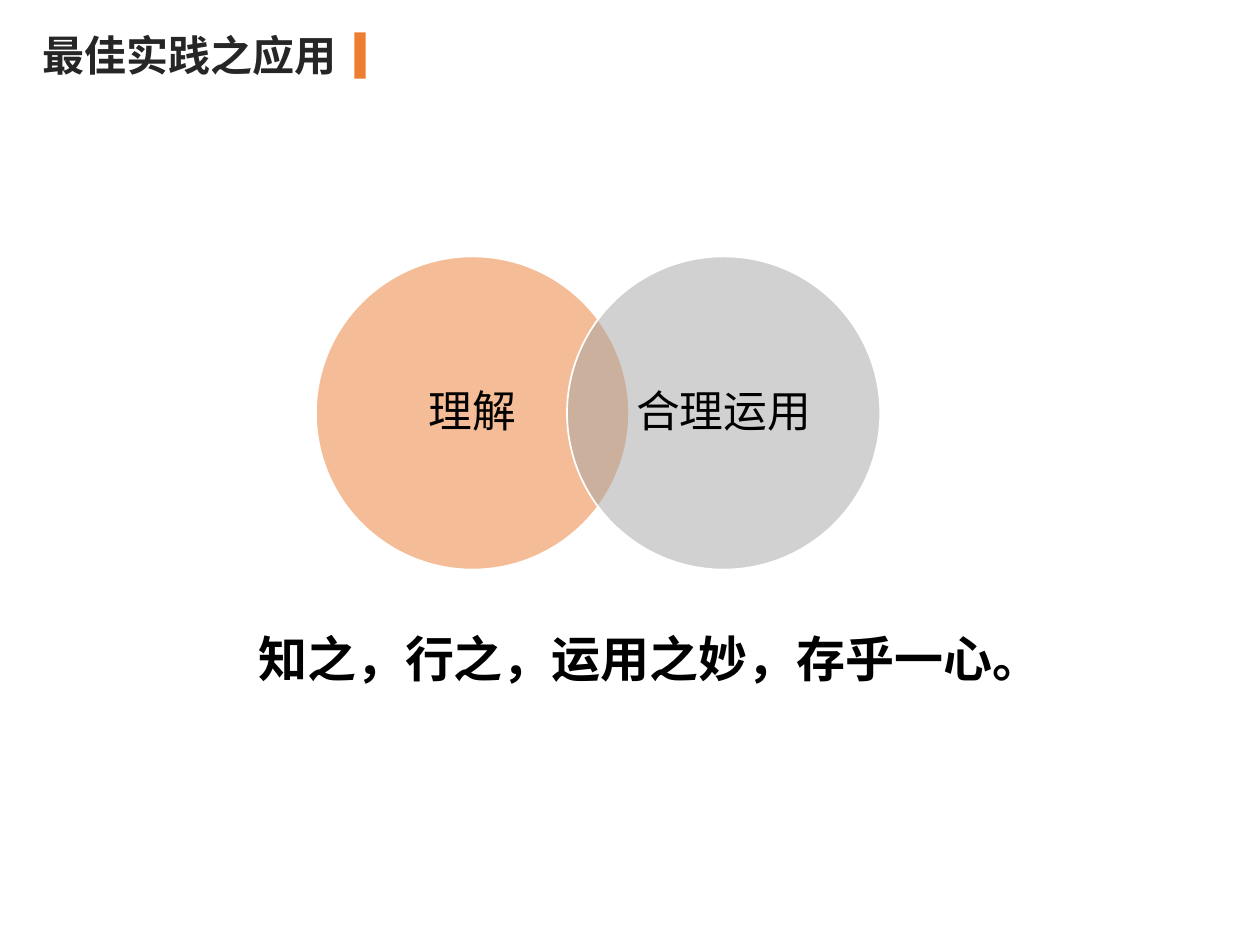
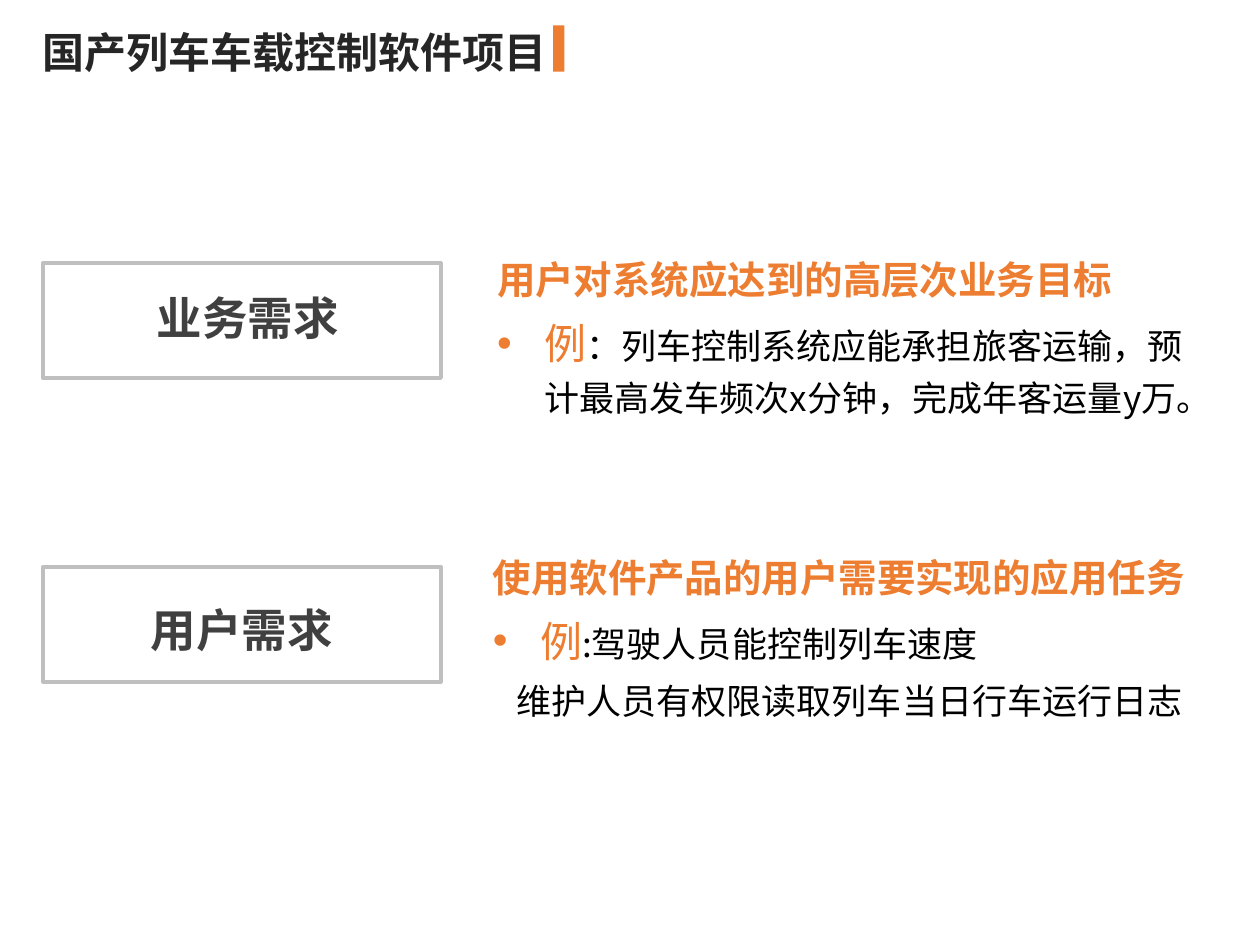
from lxml.etree import SubElement as Sub
from pptx import Presentation
from pptx.dml.color import RGBColor
from pptx.enum.shapes import MSO_SHAPE as Kind
from pptx.enum.text import MSO_ANCHOR as Anchor, MSO_AUTO_SIZE as Fit, PP_ALIGN as Align
from pptx.oxml.ns import qn
from pptx.util import Pt

FACE = "Noto Sans CJK SC"
ORANGE, GRAY, BLACK, WHITE = "ED7D31", "A5A5A5", "000000", "FFFFFF"
DARK, MID, EDGE = "262626", "404040", "BFBFBF"

HEADS = [
    ("最佳实践之应用", 13, 184.5, (202.5, 18.5)),
    ("国产列车车载控制软件项目", 11.5, 305.5, (316, 14.5)),
]
RINGS = [("理解", ORANGE), ("合理运用", GRAY)]
QUOTE = "知之，行之，运用之妙，存乎一心。"
NEEDS = [
    {"name": "业务需求", "top": 150.5, "label": (82, 165.5),
     "note": (277, 137.5, 419),
     "goal": "用户对系统应达到的高层次业务目标",
     "case": "：列车控制系统应能承担旅客运输，预计最高发车频次x分钟，完成年客运量y万。",
     "more": ""},
    {"name": "用户需求", "top": 324, "label": (78.5, 344),
     "note": (274.5, 307.5, 434),
     "goal": "使用软件产品的用户需要实现的应用任务",
     "case": ":驾驶人员能控制列车速度",
     "more": "维护人员有权限读取列车当日行车运行日志"},
]


def hue(code):
    return RGBColor.from_string(code)


def style(item, size, color, bold=False):
    font = item.font
    font.size, font.bold, font.name = Pt(size), bold, FACE
    font.color.rgb = hue(color)
    Sub(font._element, qn("a:ea"), typeface=FACE)


def write(para, text, size, color, bold=False, align=Align.LEFT, gap=1.0):
    para.text = text
    para.alignment, para.line_spacing = align, gap
    style(para, size, color, bold)


def shape(slide, kind, left, top, wide, high, fill=None, line=None, width=1):
    form = slide.shapes.add_shape(kind, Pt(left), Pt(top), Pt(wide), Pt(high))
    form.shadow.inherit = False
    if fill:
        form.fill.solid()
        form.fill.fore_color.rgb = hue(fill)
    else:
        form.fill.background()
    if line:
        form.line.color.rgb = hue(line)
        form.line.width = Pt(width)
    else:
        form.line.fill.background()
    return form


def box(slide, left, top, wide, high, wrap=False):
    frame = slide.shapes.add_textbox(Pt(left), Pt(top), Pt(wide), Pt(high)).text_frame
    frame.word_wrap = wrap
    return frame


def start(deck, text, top, wide, bar):
    slide = deck.slides.add_slide(deck.slide_layouts[5])
    title = slide.shapes.title
    title.left, title.top, title.width, title.height = Pt(17), Pt(top), Pt(wide), Pt(36)
    frame = title.text_frame
    frame.word_wrap, frame.auto_size = False, Fit.NONE
    frame.vertical_anchor = Anchor.TOP
    write(frame.paragraphs[0], text, 24, DARK, True)
    shape(slide, Kind.RECTANGLE, *bar, 6.5, 26.5, ORANGE)
    return slide


def ring(slide, left, text, color):
    oval = shape(slide, Kind.OVAL, left, 146.5, 179, 179, color, WHITE)
    tint = oval.fill._xPr.find(qn("a:solidFill"))[0]
    Sub(tint, qn("a:alpha"), val="50000")
    frame = oval.text_frame
    frame.word_wrap, frame.vertical_anchor = True, Anchor.MIDDLE
    frame.margin_left = frame.margin_right = Pt(10)
    frame.margin_top = frame.margin_bottom = Pt(2)
    write(frame.paragraphs[0], text, 25, BLACK, align=Align.CENTER, gap=0.9)


def indent(para, left, first=0):
    props = para._p.get_or_add_pPr()
    props.set("marL", str(Pt(left)))
    props.set("indent", str(Pt(first)))
    return props


def bullet(para):
    props = indent(para, 27, -27)
    Sub(Sub(props, qn("a:buClr")), qn("a:srgbClr"), val=ORANGE)
    Sub(props, qn("a:buFont"), typeface="Arial")
    Sub(props, qn("a:buChar"), char="•")


def need(slide, row):
    shape(slide, Kind.RECTANGLE, 24.5, row["top"], 227.5, 65.5, line=EDGE, width=2.25)
    label = box(slide, *row["label"], 119.5, 35.5)
    write(label.paragraphs[0], row["name"], 26, MID, True, Align.CENTER, 0.9)

    left, top, wide = row["note"]
    frame = box(slide, left, top, wide, 109.5, True)
    write(frame.paragraphs[0], row["goal"], 22, ORANGE, True, gap=1.2)
    para = frame.add_paragraph()
    para.line_spacing, para.space_before = 1.2, Pt(3)
    bullet(para)
    for text, size, color in [("例", 24, ORANGE), (row["case"], 20, BLACK)]:
        run = para.add_run()
        run.text = text
        style(run, size, color)
    if row["more"]:
        para = frame.add_paragraph()
        para.space_before = Pt(3)
        indent(para, 13.5)
        write(para, row["more"], 20, BLACK, gap=1.2)


def main():
    deck = Presentation()
    deck.slide_width, deck.slide_height = Pt(720), Pt(540)
    first, second = [start(deck, *head) for head in HEADS]
    for i, (text, color) in enumerate(RINGS):
        ring(first, 180.5 + i * 143.5, text, color)
    quote = box(first, 140.5, 347, 466.5, 46)
    write(quote.paragraphs[0], QUOTE, 28, BLACK, True, gap=1.25)
    for row in NEEDS:
        need(second, row)
    deck.save("out.pptx")


if __name__ == "__main__":
    main()
